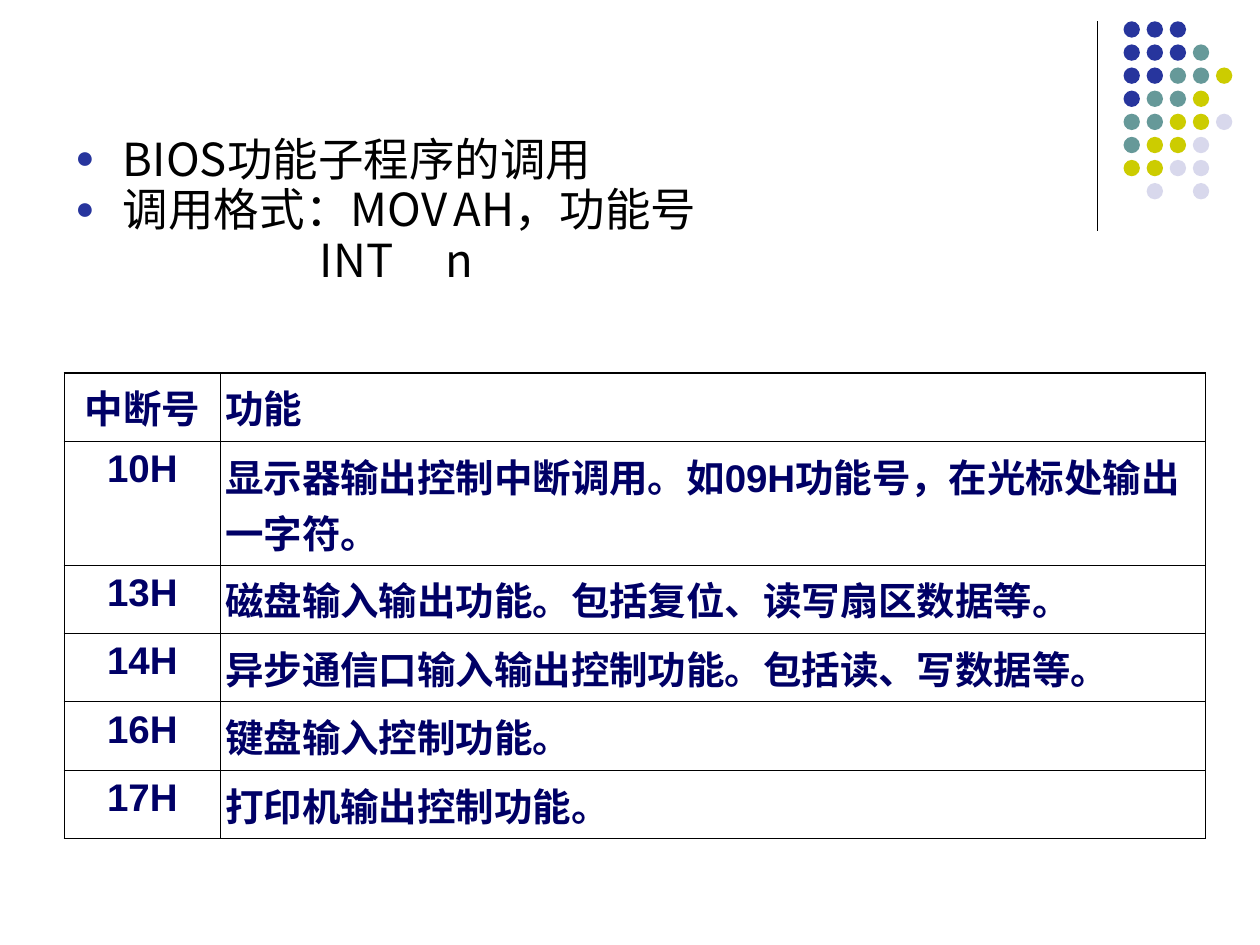
from lxml.etree import SubElement
from pptx import Presentation
from pptx.dml.color import RGBColor
from pptx.enum.shapes import MSO_CONNECTOR, MSO_SHAPE
from pptx.enum.text import PP_ALIGN
from pptx.oxml.ns import qn
from pptx.util import Cm, Pt

BLACK = RGBColor(0x00, 0x00, 0x00)
NAVY = RGBColor(0x00, 0x00, 0x66)
BLUE = RGBColor(0x27, 0x35, 0x9D)
TEAL = RGBColor(0x66, 0x99, 0x99)
LIME = RGBColor(0xCC, 0xCC, 0x00)
PALE = RGBColor(0xD8, 0xD8, 0xEC)
HAN = "Noto Sans CJK SC"

# Content: text, left margin (cm), tab stop from the margin (cm), bullet
LINES = [
    ("BIOS功能子程序的调用", 0.96, None, True),
    ("调用格式：MOV\tAH，功能号", 0.96, 7.14, True),
    ("INT\tn", 4.93, 2.13, False),
]
ROWS = [
    ("中断号", "功能"),
    ("10H", "显示器输出控制中断调用。如09H功能号，在光标处输出一字符。"),
    ("13H", "磁盘输入输出功能。包括复位、读写扇区数据等。"),
    ("14H", "异步通信口输入输出控制功能。包括读、写数据等。"),
    ("16H", "键盘输入控制功能。"),
    ("17H", "打印机输出控制功能。"),
]
WIDTHS = [3.14, 19.86]
HEIGHTS = [1.38, 2.49, 1.38, 1.38, 1.38, 1.38]
DOTS = ["BBB", "BBBT", "BBTTL", "BTTL", "TTLLP", "TLLP", "LLPP", " P P"]
HUES = {"B": BLUE, "T": TEAL, "L": LIME, "P": PALE}
STEP = 3.26 / 7


def write(para, text, size=22, font=HAN, color=BLACK, bold=False,
          align=PP_ALIGN.LEFT):
    para.alignment = align
    run = para.add_run()
    run.text = text
    run.font.size, run.font.bold, run.font.name = Pt(size), bold, font
    run.font.color.rgb = color
    SubElement(run.font._element, qn("a:ea"), typeface=HAN)


def indent(para, left, stop, dot):
    props = para._p.get_or_add_pPr()
    props.set("marL", str(Cm(left)))
    props.set("indent", str(-Cm(left) if dot else 0))
    if dot:
        hue = SubElement(props, qn("a:buClr"))
        SubElement(hue, qn("a:srgbClr"), val=str(BLUE))
        SubElement(props, qn("a:buSzPct"), val="70000")
        SubElement(props, qn("a:buFont"), typeface="Arial")
        SubElement(props, qn("a:buChar"), char="●")
    else:
        SubElement(props, qn("a:buNone"))
    if stop:
        tabs = SubElement(props, qn("a:tabLst"))
        SubElement(tabs, qn("a:tab"), pos=str(Cm(stop)), algn="l")


def border(cell, sides):
    props = cell._tc.get_or_add_tcPr()
    for side, width in sides.items():
        line = SubElement(props, qn("a:ln" + side), w=str(Pt(width)))
        fill = SubElement(line, qn("a:solidFill"))
        SubElement(fill, qn("a:srgbClr"), val=str(BLACK))


deck = Presentation()
deck.slide_width, deck.slide_height = Cm(25.4), Cm(19.05)
slide = deck.slides.add_slide(deck.slide_layouts[6])
shapes = slide.shapes

# Corner rule and dot pattern
rule = shapes.add_connector(MSO_CONNECTOR.STRAIGHT,
                            Cm(22.12), Cm(0.43), Cm(22.12), Cm(4.65))
rule.line.color.rgb = BLACK
rule.line.width = Pt(0.75)
SubElement(rule._element.spPr, qn("a:effectLst"))
group = shapes.add_group_shape()
for y, row in enumerate(DOTS):
    for x, key in enumerate(row):
        if key in HUES:
            dot = group.shapes.add_shape(
                MSO_SHAPE.OVAL, Cm(22.65 + x * STEP), Cm(0.43 + y * STEP),
                Cm(0.33), Cm(0.33))
            dot.shadow.inherit = False
            dot.fill.solid()
            dot.fill.fore_color.rgb = HUES[key]
            dot.line.fill.background()

# Call format
frame = shapes.add_textbox(Cm(1.27), Cm(2.72), Cm(21.64), Cm(4.19)).text_frame
frame.word_wrap = True
for i, (text, left, stop, dot) in enumerate(LINES):
    para = frame.add_paragraph() if i else frame.paragraphs[0]
    indent(para, left, stop, dot)
    para.line_spacing = 0.8
    para.space_before = Pt(4.2 if i else 0)
    write(para, text, size=26)

# Interrupt table
table = shapes.add_table(len(ROWS), len(WIDTHS), Cm(1.3), Cm(7.52),
                         Cm(sum(WIDTHS)), Cm(sum(HEIGHTS))).table
table.first_row = table.horz_banding = False
for col, width in zip(table.columns, WIDTHS):
    col.width = Cm(width)
for r, (row, height) in enumerate(zip(ROWS, HEIGHTS)):
    table.rows[r].height = Cm(height)
    for c, text in enumerate(row):
        cell = table.cell(r, c)
        cell.margin_left = cell.margin_right = Cm(0.1)
        cell.margin_top = cell.margin_bottom = Cm(0.13)
        edges = {"L": c == 0, "R": c == len(row) - 1,
                 "T": r == 0, "B": r == len(ROWS) - 1}
        border(cell, {side: 1.08 if outer else 0.45
                      for side, outer in edges.items()})
        cell.fill.background()
        write(cell.text_frame.paragraphs[0], text, font="Arial", color=NAVY,
              bold=True, align=PP_ALIGN.LEFT if c else PP_ALIGN.CENTER)

deck.save("out.pptx")
